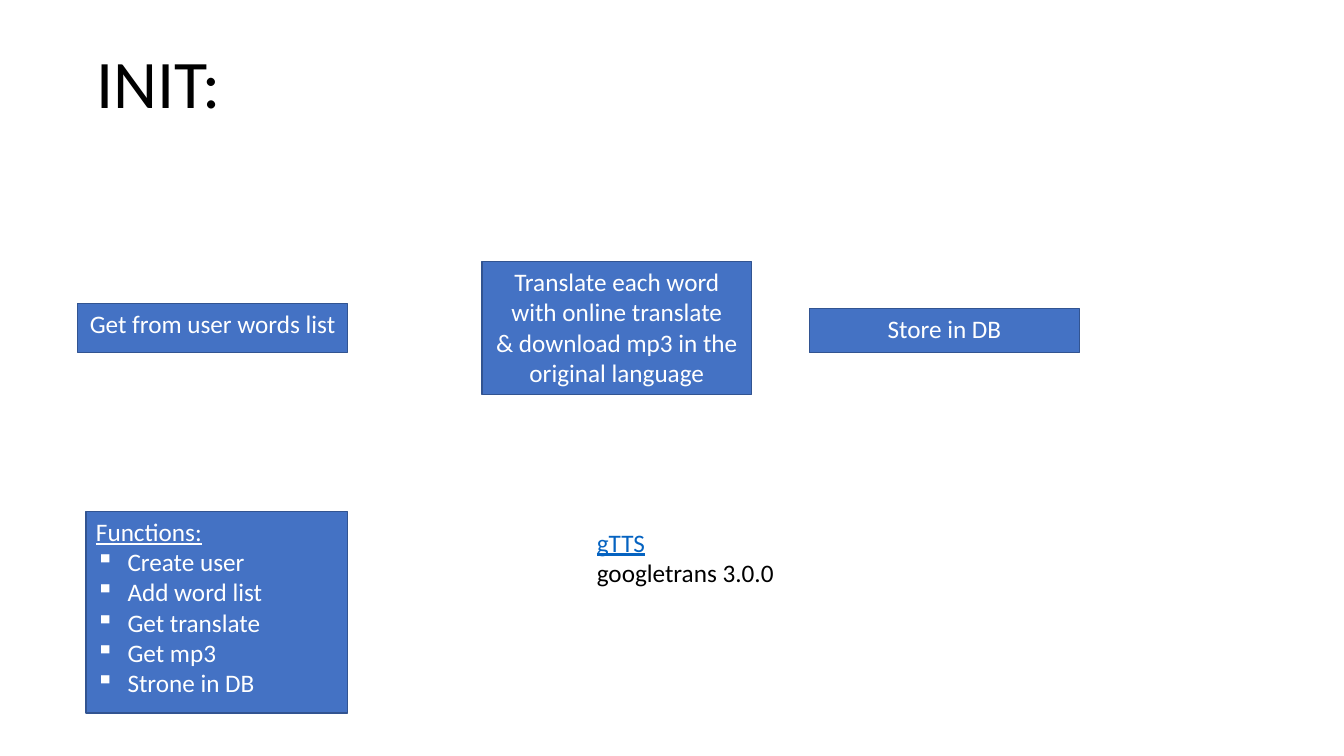
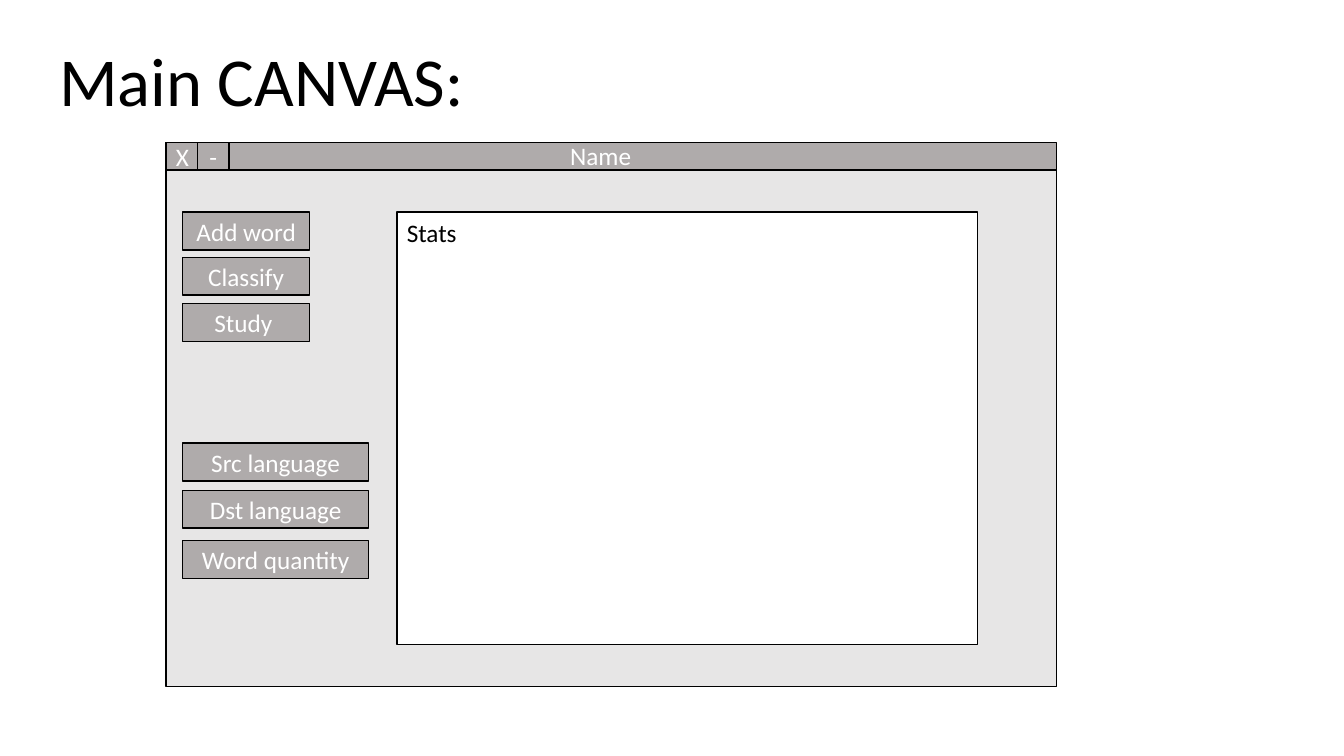
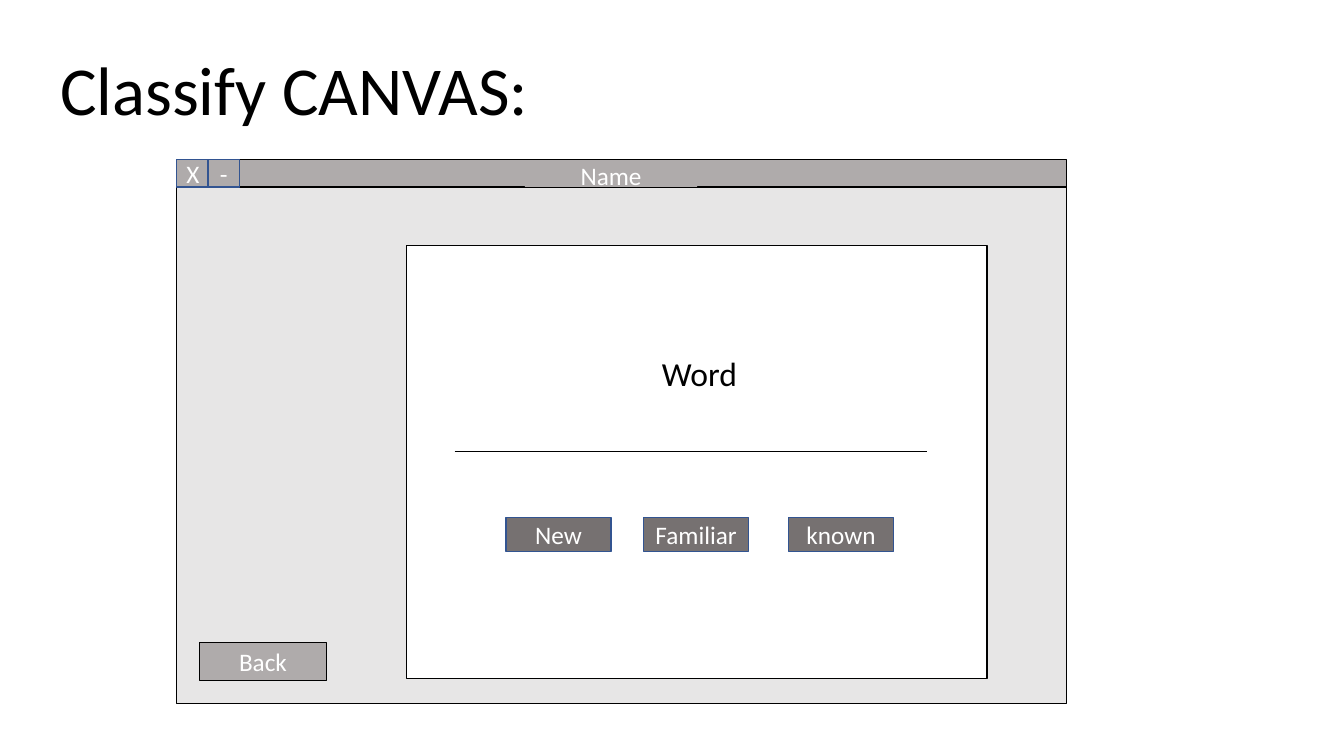
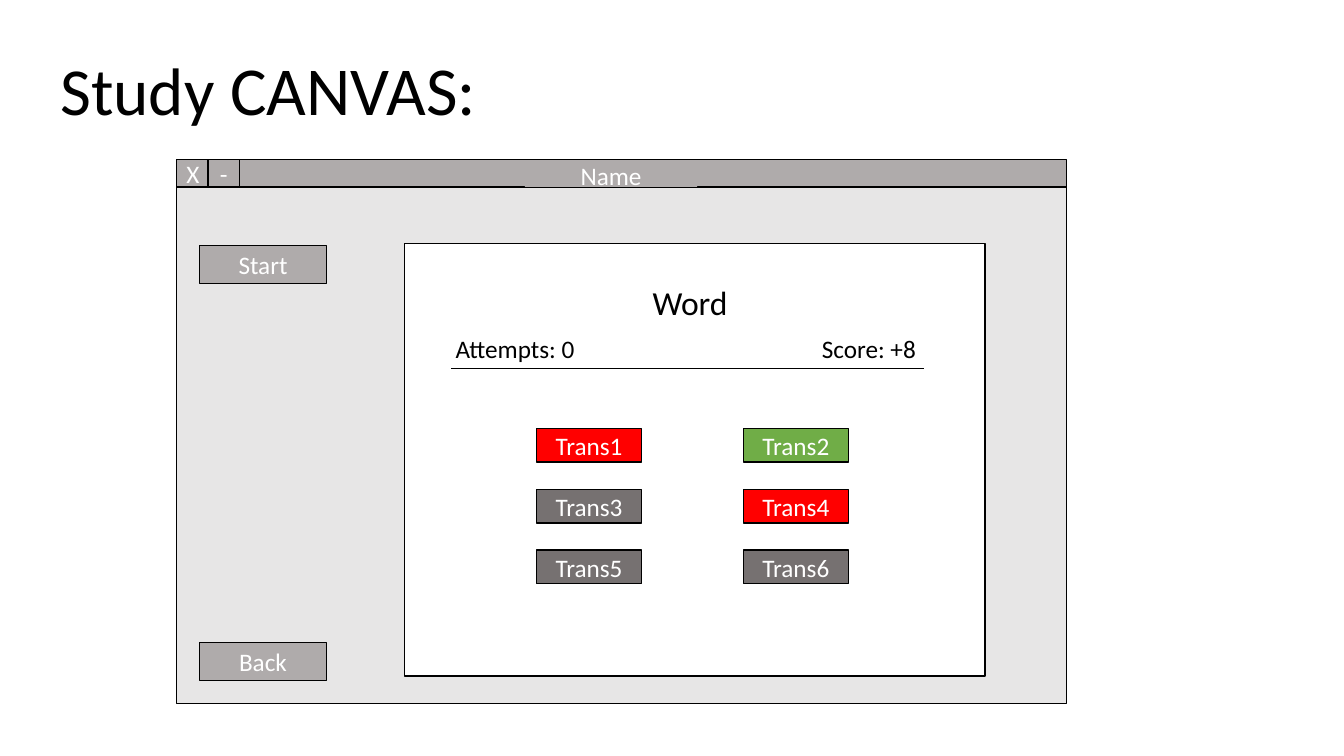
"""Build the four wireframe slides of a vocabulary trainer."""
from dataclasses import dataclass
from typing import Optional

from lxml import etree
from pptx import Presentation
from pptx import util as u
from pptx.dml.color import RGBColor
from pptx.enum import shapes, text
from pptx.oxml import ns

PX = 9525
FONT = "Calibri"
BLACK = RGBColor(0x00, 0x00, 0x00)
WHITE = RGBColor(0xFF, 0xFF, 0xFF)
BLUE = RGBColor(0x44, 0x72, 0xC4)
NAVY = RGBColor(0x32, 0x54, 0x91)
LINK = RGBColor(0x05, 0x63, 0xC1)
PALE = RGBColor(0xE7, 0xE6, 0xE6)
GREY = RGBColor(0xAF, 0xAB, 0xAB)
DARK = RGBColor(0x76, 0x71, 0x71)
RED = RGBColor(0xFF, 0x00, 0x00)
GREEN = RGBColor(0x70, 0xAD, 0x47)

LEFT, CENTER = text.PP_ALIGN.LEFT, text.PP_ALIGN.CENTER
TOP, MIDDLE = text.MSO_ANCHOR.TOP, text.MSO_ANCHOR.MIDDLE

WINDOW_WIDTH, BODY_HEIGHT, BAR_HEIGHT, ICON_WIDTH = 848, 492, 26, 30
PANEL_WIDTH, PANEL_HEIGHT = 553, 412
BUTTON_WIDTH, FIELD_WIDTH, BUTTON_HEIGHT = 121, 177, 36
CHOICE_WIDTH, CHOICE_HEIGHT = 100, 32
RULE_WIDTH = 450


@dataclass(frozen=True)
class Box:
    """A rectangle with its place in px, its words and its look."""

    left: int
    top: int
    width: int
    height: int
    words: str = ""
    fill: RGBColor = GREY
    border: Optional[RGBColor] = BLACK
    color: RGBColor = WHITE
    align: text.PP_ALIGN = CENTER
    anchor: text.MSO_ANCHOR = MIDDLE


def px(length: int) -> u.Emu:
    """Turn px into EMU."""
    return u.Emu(length * PX)


def style_span(span, size: float, color: RGBColor) -> None:
    """Set the font of one run."""
    span.font.name = FONT
    span.font.size = u.Pt(size)
    span.font.color.rgb = color


def write(frame, words: str, size: float, color: RGBColor, align=LEFT, anchor=TOP) -> None:
    """Fill a text frame and format all its runs."""
    frame.word_wrap = True
    frame.vertical_anchor = anchor
    frame.text = words
    for para in frame.paragraphs:
        para.alignment = align
        for span in para.runs:
            style_span(span, size, color)


def add_box(page, box: Box):
    """Draw a rectangle and return its text frame."""
    shape = page.shapes.add_shape(
        shapes.MSO_SHAPE.RECTANGLE, px(box.left), px(box.top), px(box.width), px(box.height)
    )
    shape.shadow.inherit = False
    shape.fill.solid()
    shape.fill.fore_color.rgb = box.fill
    if box.border is None:
        shape.line.fill.background()
    else:
        shape.line.color.rgb = box.border
        shape.line.width = u.Pt(1)
    if box.words:
        write(shape.text_frame, box.words, 18, box.color, box.align, box.anchor)
    return shape.text_frame


def add_label(page, left: int, top: int, width: int, height: int, words: str,
              size: float = 18, anchor=TOP):
    """Draw a plain text box and return its text frame."""
    label = page.shapes.add_textbox(px(left), px(top), px(width), px(height))
    write(label.text_frame, words, size, BLACK, anchor=anchor)
    return label.text_frame


def add_bullet(para) -> None:
    """Give a paragraph a square bullet with a hanging indent."""
    properties = para._p.get_or_add_pPr()
    properties.set("marL", str(px(30)))
    properties.set("indent", str(-px(30)))
    etree.SubElement(properties, ns.qn("a:buChar")).set("char", "▪")


def add_rule(page, left: int, top: int) -> None:
    """Draw the thin line across a panel."""
    rule = page.shapes.add_connector(
        shapes.MSO_CONNECTOR.STRAIGHT, px(left), px(top), px(left + RULE_WIDTH), px(top)
    )
    rule.line.color.rgb = BLACK
    rule.line.width = u.Pt(0.5)
    etree.SubElement(rule._element.spPr, ns.qn("a:effectLst"))


def add_canvas_title(page, left: int, top: int, name: str, name_size: float = 49) -> None:
    """Write the heading of a canvas slide."""
    frame = add_label(page, left, top, 640, 89, name, name_size)
    span = frame.paragraphs[0].add_run()
    span.text = " CANVAS:"
    style_span(span, 49, BLACK)


def add_window(page, left: int, top: int, name_drop: int, icon_border: RGBColor = BLACK) -> None:
    """Draw the window frame with its title bar."""
    add_box(page, Box(left, top + BAR_HEIGHT, WINDOW_WIDTH, BODY_HEIGHT, fill=PALE))
    add_box(page, Box(left, top, WINDOW_WIDTH, BAR_HEIGHT))
    for index, icon in enumerate("X-"):
        add_box(page, Box(left + index * ICON_WIDTH, top, ICON_WIDTH, BAR_HEIGHT, icon,
                          border=icon_border))
    add_box(page, Box(left + 332, top + name_drop, 164, 21, "Name", border=None))


def add_panel(page, left: int, top: int, words: str = "") -> None:
    """Draw the white work area."""
    add_box(page, Box(left, top, PANEL_WIDTH, PANEL_HEIGHT, words, WHITE,
                      color=BLACK, align=LEFT, anchor=TOP))


def add_button(page, left: int, top: int, words: str, width: int = BUTTON_WIDTH) -> None:
    """Draw a grey side button."""
    add_box(page, Box(left, top, width, BUTTON_HEIGHT, words))


def add_choice(page, left: int, top: int, words: str, fill: RGBColor = DARK,
               border: RGBColor = BLACK) -> None:
    """Draw an answer button."""
    add_box(page, Box(left, top, CHOICE_WIDTH, CHOICE_HEIGHT, words, fill, border))


def build_init(page) -> None:
    """Draw the steps, functions and libraries."""
    title = add_label(page, 82, 48, 281, 69, "INIT:", 48.6, MIDDLE)
    title.paragraphs[0].line_spacing = 0.9
    steps = (
        (74, 289, 47, "Get from user words list"),
        (459, 249, 127, "Translate each word with online translate\n"
                        "& download mp3 in the original language"),
        (771, 294, 42, "Store in DB"),
    )
    for left, top, height, words in steps:
        add_box(page, Box(left, top, 257, height, words, BLUE, NAVY, anchor=TOP))
    functions = add_box(page, Box(
        82, 487, 249, 192,
        "Functions:\nCreate user\nAdd word list\nGet translate\nGet mp3\nStrone in DB",
        BLUE, NAVY, align=LEFT, anchor=TOP))
    heading, *items = functions.paragraphs
    heading.runs[0].font.underline = True
    for para in items:
        add_bullet(para)
    libraries = add_label(page, 559, 497, 201, 68, "gTTS\ngoogletrans 3.0.0")
    link = libraries.paragraphs[0].runs[0]
    link.font.underline = True
    link.font.color.rgb = LINK


def build_main(page) -> None:
    """Draw the main canvas."""
    add_canvas_title(page, 47, 31, "Main")
    add_window(page, 158, 136, 2)
    add_panel(page, 378, 202, "Stats")
    for top, words in ((202, "Add word"), (245, "Classify"), (289, "Study ")):
        add_button(page, 174, top, words)
    for top, words in ((422, "Src language"), (467, "Dst language"), (515, "Word quantity")):
        add_button(page, 174, top, words, FIELD_WIDTH)


def build_classify(page) -> None:
    """Draw the classify canvas."""
    add_canvas_title(page, 48, 40, "Classify")
    add_window(page, 168, 152, 5, NAVY)
    add_panel(page, 387, 234)
    add_button(page, 190, 612, "Back")
    add_label(page, 621, 331, 103, 48, "Word", 24)
    for left, words in ((482, "New"), (613, "Familiar"), (751, "known")):
        add_choice(page, left, 493, words, border=NAVY)
    add_rule(page, 433, 430)


def build_study(page) -> None:
    """Draw the study canvas."""
    add_canvas_title(page, 48, 40, "Study", 48)
    add_window(page, 168, 152, 5)
    add_panel(page, 385, 232)
    add_button(page, 190, 234, "Start")
    add_button(page, 190, 612, "Back")
    add_label(page, 612, 264, 103, 48, "Word", 24)
    for index, fill in enumerate((RED, GREEN, DARK, RED, DARK, DARK)):
        row, column = divmod(index, 2)
        add_choice(page, 511 + column * 197, 408 + row * 58, f"Trans{index + 1}", fill)
    add_rule(page, 430, 351)
    for left, words in ((421, "Attempts: 0"), (758, "Score: +8")):
        add_box(page, Box(left, 316, 139, 32, words, WHITE, None, BLACK))


def main() -> None:
    """Build and save the deck."""
    deck = Presentation()
    deck.slide_width, deck.slide_height = px(1280), px(720)
    for build in (build_init, build_main, build_classify, build_study):
        build(deck.slides.add_slide(deck.slide_layouts[6]))
    deck.save("out.pptx")


if __name__ == "__main__":
    main()
